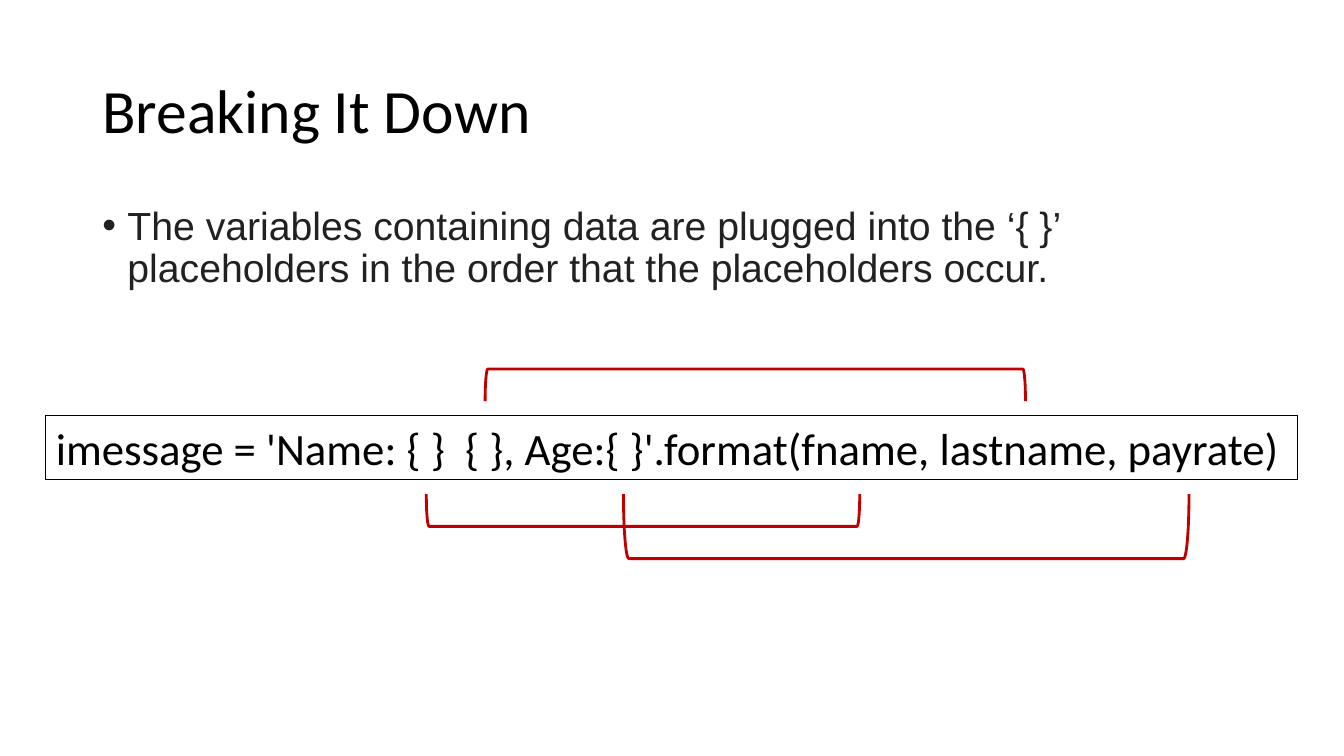
import pptx
import pptx.dml.color
import pptx.enum.shapes
import pptx.enum.text
import pptx.oxml
import pptx.oxml.ns
import pptx.util

COLORS = {"black": "000000", "body": "202122", "bracket": "C00000"}
CODE = "imessage = 'Name: { }  { }, Age:{ }'.format(fname, lastname, payrate)"


class SlideBuilder:
    """Hold the style and the current slide, and add its elements."""

    def __init__(self, presentation):
        self.heading_font = "Calibri"
        self.body_font = "Arial"
        self.slide = presentation.slides.add_slide(presentation.slide_layouts[5])

    def color(self, name):
        return pptx.dml.color.RGBColor.from_string(COLORS[name])

    def place(self, shape, *box):
        shape.left, shape.top, shape.width, shape.height = map(pptx.util.Pt, box)

    def add_text(self, shape, text, size, font, color):
        shape.text_frame.word_wrap = True
        paragraph = shape.text_frame.paragraphs[0]
        paragraph.alignment = pptx.enum.text.PP_ALIGN.LEFT
        run = paragraph.add_run()
        run.text = text
        run.font.size = pptx.util.Pt(size)
        run.font.name = font
        run.font.color.rgb = self.color(color)
        return paragraph

    def title(self, text, *box):
        shape = self.slide.shapes.title
        self.place(shape, *box)
        shape.text_frame.auto_size = pptx.enum.text.MSO_AUTO_SIZE.NONE
        shape.text_frame.vertical_anchor = pptx.enum.text.MSO_ANCHOR.MIDDLE
        self.add_text(shape, text, 44, self.heading_font, "black").line_spacing = 0.9

    def bullet(self, text, *box):
        shape = self.slide.shapes.add_textbox(*map(pptx.util.Pt, box))
        paragraph = self.add_text(shape, text, 28, self.body_font, "body")
        paragraph.line_spacing = 0.9
        paragraph.space_before = pptx.util.Pt(10)
        properties = paragraph._p.get_or_add_pPr()
        indent = pptx.util.Pt(18)
        properties.set("marL", str(indent))
        properties.set("indent", str(-indent))
        namespace = pptx.oxml.ns.nsdecls("a")
        for markup in (f'<a:buFont {namespace} typeface="Arial"/>',
                       f'<a:buChar {namespace} char="•"/>'):
            properties.append(pptx.oxml.parse_xml(markup))

    def code(self, text, *box):
        shape = self.slide.shapes.add_textbox(*map(pptx.util.Pt, box))
        shape.line.color.rgb = self.color("black")
        shape.line.width = pptx.util.Pt(0.75)
        self.add_text(shape, text, 32, self.heading_font, "black")
        shape.text_frame.auto_size = pptx.enum.text.MSO_AUTO_SIZE.SHAPE_TO_FIT_TEXT

    def bracket(self, left, top, span, depth, rotation):
        center_x, center_y = left + span / 2, top + depth / 2
        box = (center_x - depth / 2, center_y - span / 2, depth, span)
        shape = self.slide.shapes.add_shape(
            pptx.enum.shapes.MSO_SHAPE.RIGHT_BRACKET, *map(pptx.util.Pt, box))
        shape.rotation = rotation
        shape.shadow.inherit = False
        shape.fill.background()
        shape.line.color.rgb = self.color("bracket")
        shape.line.width = pptx.util.Pt(2)


def main():
    presentation = pptx.Presentation()
    presentation.slide_width = pptx.util.Pt(960)
    presentation.slide_height = pptx.util.Pt(540)
    builder = SlideBuilder(presentation)
    builder.title("Breaking It Down", 66, 28.75, 828, 104.4)
    builder.bullet("The variables containing data are plugged into the ‘{ }’ "
                   "placeholders in the order that the placeholders occur.",
                   66, 143.75, 828, 92)
    builder.code(CODE, 32.75, 296.75, 894.25, 46)
    for bracket in ((304.5, 353, 309.6, 23, 90),
                    (445.3, 353, 404, 46, 90),
                    (346.5, 263.5, 386, 23, 270)):
        builder.bracket(*bracket)
    presentation.save("out.pptx")


if __name__ == "__main__":
    main()
